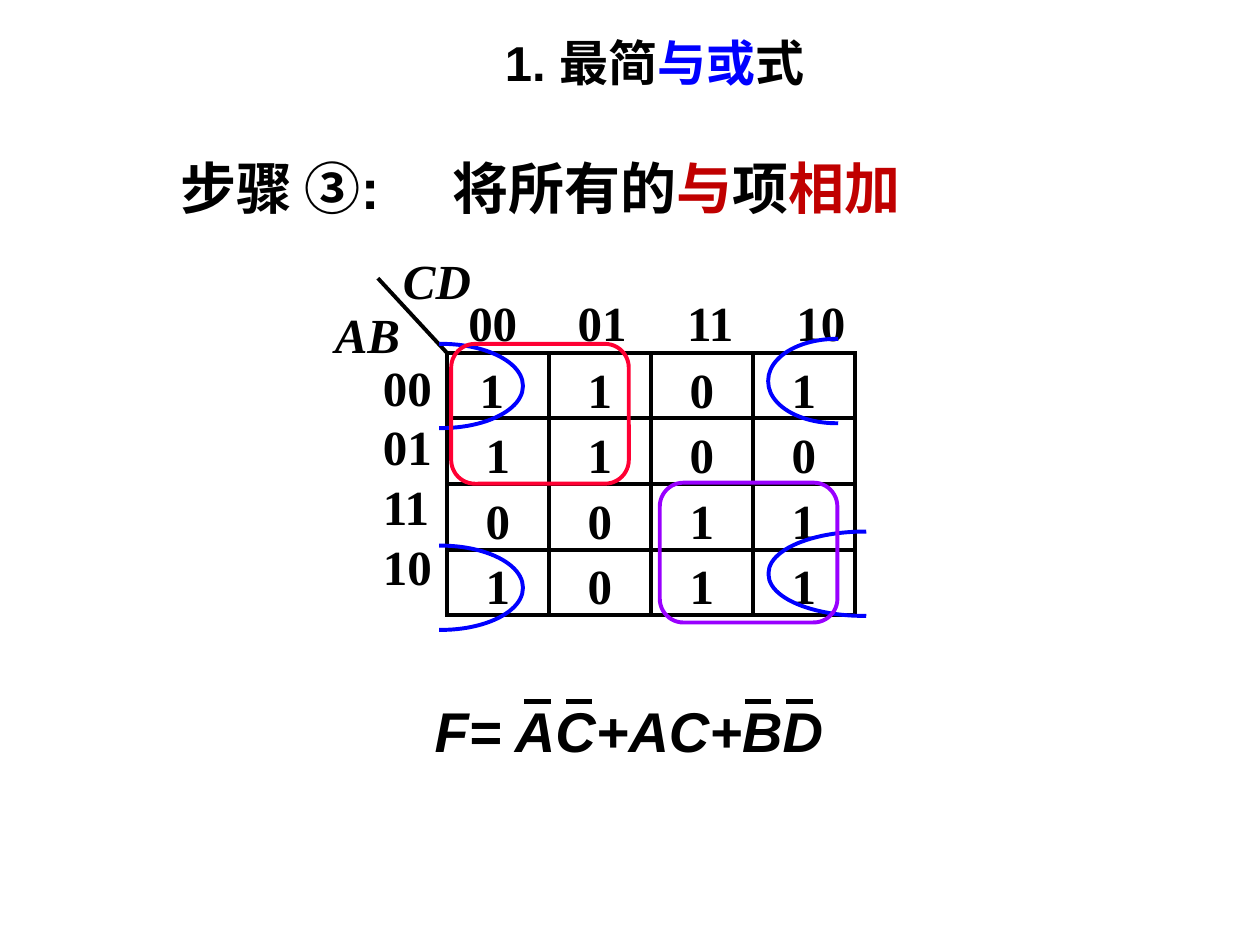
import lxml.etree
import pptx
import pptx.dml.color
import pptx.enum.shapes
import pptx.enum.text
import pptx.oxml.ns
import pptx.util

Pt = pptx.util.Pt
SHAPE = pptx.enum.shapes.MSO_SHAPE
ALIGN = pptx.enum.text.PP_ALIGN
qn = pptx.oxml.ns.qn

BLACK, BLUE, RED = "000000", "0000FF", "C00000"
SERIF, SANS, CJK = "Times New Roman", "Arial", "Noto Sans CJK SC"

MAP_LEFT, MAP_TOP = 255.4, 201.6
CELL_WIDTH, CELL_HEIGHT = 58.25, 37.5
MAP_VALUES = [
    ["1 ", "1", "0", "1"],
    ["1", "1", "0", "0"],
    ["0", "0", "1", "1"],
    ["1", "0", "1", "1"],
]
GROUPINGS = [
    (SHAPE.RIGHT_BRACKET, 252, 196.5, 46.8, 48.2, 0.51, BLUE),
    (SHAPE.RIGHT_BRACKET, 252, 311.8, 46.8, 48.2, 0.51, BLUE),
    (SHAPE.LEFT_BRACKET, 439, 193.7, 38.9, 48.2, 0.61, BLUE),
    (SHAPE.LEFT_BRACKET, 439.2, 303.8, 54.7, 48.2, 0.49, BLUE),
    (SHAPE.ROUNDED_RECTANGLE, 257.8, 196.5, 101.5, 79.9, 0.17, "FF0033"),
    (SHAPE.ROUNDED_RECTANGLE, 377, 275.8, 101.5, 79.9, 0.17, "9900FF"),
]


def rgb(value):
    return pptx.dml.color.RGBColor.from_string(value)


def write_text(frame, paragraphs, size=28, font=SERIF, italic=False,
               align=ALIGN.LEFT, line_spacing=None, gap=0, tabs=()):
    """Fill a frame; a paragraph is a string or a list of (text, colour, font)."""
    frame.word_wrap = True
    for index, content in enumerate(paragraphs):
        paragraph = frame.add_paragraph() if index else frame.paragraphs[0]
        paragraph.alignment = align
        if line_spacing:
            paragraph.line_spacing = line_spacing
        if index and gap:
            paragraph.space_before = Pt(gap)
        if tabs:
            tab_list = lxml.etree.SubElement(
                paragraph._p.get_or_add_pPr(), qn("a:tabLst"))
            for position in tabs:
                lxml.etree.SubElement(tab_list, qn("a:tab"),
                                      pos=str(int(Pt(position))), algn="l")
        runs = [(content, BLACK, font)] if isinstance(content, str) else content
        for words, color, face in runs:
            run = paragraph.add_run()
            run.text = words
            run.font.size = Pt(size)
            run.font.bold = True
            run.font.italic = italic
            run.font.name = face
            run.font.color.rgb = rgb(color)
            lxml.etree.SubElement(run._r.get_or_add_rPr(), qn("a:ea"), typeface=CJK)


def add_text(slide, left, top, width, height, *paragraphs, **text_format):
    box = slide.shapes.add_textbox(Pt(left), Pt(top), Pt(width), Pt(height))
    write_text(box.text_frame, paragraphs, **text_format)


def style_line(shape, color, weight):
    """Give a shape or connector a solid line with square ends."""
    shape.line.color.rgb = rgb(color)
    shape.line.width = Pt(weight)
    shape._element.spPr.find(qn("a:ln")).set("cap", "sq")


def add_line(slide, x1, y1, x2, y2, weight=2.25):
    line = slide.shapes.add_connector(
        pptx.enum.shapes.MSO_CONNECTOR.STRAIGHT, Pt(x1), Pt(y1), Pt(x2), Pt(y2))
    style_line(line, BLACK, weight)
    lxml.etree.SubElement(line._element.spPr, qn("a:effectLst"))


def add_outline(slide, kind, left, top, width, height, color):
    outline = slide.shapes.add_shape(kind, Pt(left), Pt(top), Pt(width), Pt(height))
    outline.shadow.inherit = False
    outline.fill.background()
    style_line(outline, color, 2.25)
    return outline


def add_grouping(slide, kind, left, top, width, height, curve, color):
    """Outline a set of adjacent ones in the map."""
    outline = add_outline(slide, kind, left, top, width, height, color)
    outline.adjustments[0] = curve


def add_map(slide):
    rows, columns = len(MAP_VALUES), len(MAP_VALUES[0])
    right = MAP_LEFT + columns * CELL_WIDTH
    bottom = MAP_TOP + rows * CELL_HEIGHT
    for row, values in enumerate(MAP_VALUES):
        for column, value in enumerate(values):
            cell = add_outline(slide, SHAPE.RECTANGLE,
                               MAP_LEFT + column * CELL_WIDTH,
                               MAP_TOP + row * CELL_HEIGHT,
                               CELL_WIDTH, CELL_HEIGHT, BLACK)
            cell.text_frame.vertical_anchor = pptx.enum.text.MSO_ANCHOR.TOP
            write_text(cell.text_frame, [value], align=ALIGN.CENTER)
    for row in range(rows + 1):
        y = MAP_TOP + row * CELL_HEIGHT
        add_line(slide, MAP_LEFT, y, right, y)
    for column in range(columns + 1):
        x = MAP_LEFT + column * CELL_WIDTH
        add_line(slide, x, MAP_TOP, x, bottom)


def add_map_labels(slide):
    add_line(slide, MAP_LEFT, MAP_TOP, 216.7, 159.8)
    add_text(slide, 247, 163.4, 250, 41, "\t00\t01\t11\t10",
             tabs=[13.5 + 62.5 * column for column in range(4)])
    add_text(slide, 211.7, 212.4, 48.2, 138, "00", "01", "11", "10",
             line_spacing=0.6, gap=14)
    add_text(slide, 184.3, 170.6, 69.8, 41, "AB", italic=True)
    add_text(slide, 223.2, 139.7, 67.7, 41, "CD", italic=True)


def add_formula(slide):
    add_text(slide, 241.2, 394.6, 257.8, 45.4, "F= AC+AC+BD",
             size=32, font=SANS, italic=True)
    for negation_left in (301, 324.7, 427, 450.7):
        add_line(slide, negation_left, 401, negation_left + 12.2, 401, 3)


def main():
    deck = pptx.Presentation()
    deck.slide_width, deck.slide_height = Pt(720), Pt(540)
    slide = deck.slides.add_slide(deck.slide_layouts[6])
    add_map(slide)
    add_map_labels(slide)
    for grouping in GROUPINGS:
        add_grouping(slide, *grouping)
    add_formula(slide)
    add_text(slide, 95.8, 84.2, 508.3, 46,
             [("步骤 ", BLACK, SANS), ("③", BLACK, SERIF), (":\t", BLACK, SANS),
              ("将所有的", BLACK, CJK), ("与", RED, SERIF), ("项", BLACK, CJK),
              ("相加", RED, SERIF)],
             size=32, tabs=[155.5])
    add_text(slide, 105.1, 15.1, 537.8, 41,
             [("1. 最简", BLACK, SANS), ("与或", BLUE, SANS), ("式", BLACK, SANS)],
             align=ALIGN.CENTER)
    deck.save("out.pptx")


if __name__ == "__main__":
    main()
